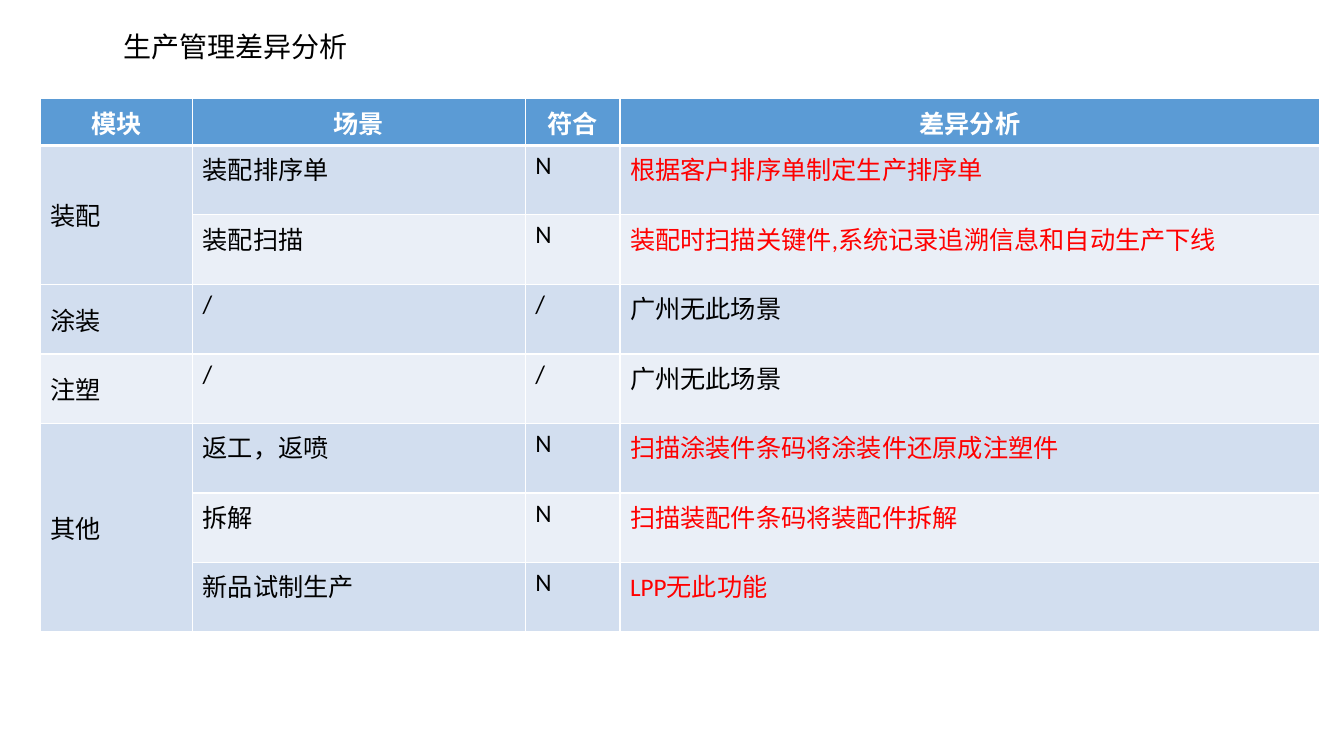
from pptx import Presentation
from pptx.dml.color import RGBColor
from pptx.enum.text import MSO_ANCHOR, MSO_AUTO_SIZE, PP_ALIGN
from pptx.util import Inches, Pt
from lxml.etree import SubElement
from pptx.oxml.ns import qn

BLACK = RGBColor(0x00, 0x00, 0x00)
WHITE = RGBColor(0xFF, 0xFF, 0xFF)
RED = RGBColor(0xFF, 0x00, 0x00)
HEADER_BLUE = RGBColor(0x5B, 0x9B, 0xD5)
BAND_DARK = RGBColor(0xD2, 0xDE, 0xEF)
BAND_LIGHT = RGBColor(0xEA, 0xEF, 0xF7)
CJK_FONT = "Noto Sans CJK SC"

HEADERS = ["模块", "场景", "符合", "差异分析"]
MODULES = [
    ("装配", [
        ("装配排序单", "N", "根据客户排序单制定生产排序单"),
        ("装配扫描", "N", "装配时扫描关键件,系统记录追溯信息和自动生产下线"),
    ]),
    ("涂装", [("/", "/", "广州无此场景")]),
    ("注塑", [("/", "/", "广州无此场景")]),
    ("其他", [
        ("返工，返喷", "N", "扫描涂装件条码将涂装件还原成注塑件"),
        ("拆解", "N", "扫描装配件条码将装配件拆解"),
        ("新品试制生产", "N", "LPP无此功能"),
    ]),
]
COLUMN_WIDTHS = [1.51, 3.3, 0.94, 6.94]
HEADER_HEIGHT, ROW_HEIGHT = 0.4, 0.69


def write_text(tf, text, color, align=PP_ALIGN.LEFT, **font_format):
    p = tf.paragraphs[0]
    p.alignment = align
    r = p.add_run()
    r.text = text
    r.font.color.rgb = color
    for name, value in font_format.items():
        setattr(r.font, name, value)
    SubElement(r.font._element, qn("a:ea"), typeface=CJK_FONT)


def add_title(s, text):
    title = s.shapes.title
    box = {"left": 1.12, "top": 0.24, "width": 3.77, "height": 0.44}
    for name, value in box.items():
        setattr(title, name, Inches(value))
    tf = title.text_frame
    tf.auto_size = MSO_AUTO_SIZE.NONE
    tf.vertical_anchor = MSO_ANCHOR.TOP
    write_text(tf, text, BLACK, size=Pt(20), name=CJK_FONT)


def set_borders(cell, top=1, bottom=1):
    tc_pr = cell._tc.get_or_add_tcPr()
    for side, width in {"L": 1, "R": 1, "T": top, "B": bottom}.items():
        ln = SubElement(tc_pr, qn(f"a:ln{side}"), w=str(Pt(width)))
        fill = SubElement(ln, qn("a:solidFill"))
        SubElement(fill, qn("a:srgbClr"), val=str(WHITE))


def style_cell(cell, row):
    set_borders(cell, top=3 if row == 1 else 1, bottom=3 if row == 0 else 1)
    cell.fill.solid()
    band = BAND_DARK if row % 2 else BAND_LIGHT
    cell.fill.fore_color.rgb = band if row else HEADER_BLUE


def write_cell(cell, text, color=BLACK, align=PP_ALIGN.LEFT, bold=False):
    write_text(cell.text_frame, text, color, align,
               size=Pt(18), name="Calibri", bold=bold)


def fill_modules(table):
    row = 1
    for module, scenes in MODULES:
        cell = table.cell(row, 0)
        if len(scenes) > 1:
            cell.merge(table.cell(row + len(scenes) - 1, 0))
        cell.vertical_anchor = MSO_ANCHOR.MIDDLE
        write_cell(cell, module)
        for scene, match, analysis in scenes:
            write_cell(table.cell(row, 1), scene)
            write_cell(table.cell(row, 2), match)
            write_cell(table.cell(row, 3), analysis, RED if match == "N" else BLACK)
            row += 1


def add_gap_table(s):
    body_rows = sum(len(scenes) for _, scenes in MODULES)
    table = s.shapes.add_table(
        body_rows + 1, len(HEADERS), Inches(0.4), Inches(0.98),
        Inches(sum(COLUMN_WIDTHS)),
        Inches(HEADER_HEIGHT + body_rows * ROW_HEIGHT)).table
    for column, width in zip(table.columns, COLUMN_WIDTHS):
        column.width = Inches(width)
    for i, row in enumerate(table.rows):
        row.height = Inches(ROW_HEIGHT if i else HEADER_HEIGHT)
        for cell in row.cells:
            style_cell(cell, i)
    for cell, text in zip(table.rows[0].cells, HEADERS):
        write_cell(cell, text, WHITE, PP_ALIGN.CENTER, bold=True)
    fill_modules(table)


def main():
    prs = Presentation()
    prs.slide_width, prs.slide_height = Inches(13.33), Inches(7.5)
    s = prs.slides.add_slide(prs.slide_layouts[5])
    add_title(s, "生产管理差异分析")
    add_gap_table(s)
    prs.save("out.pptx")


if __name__ == "__main__":
    main()
